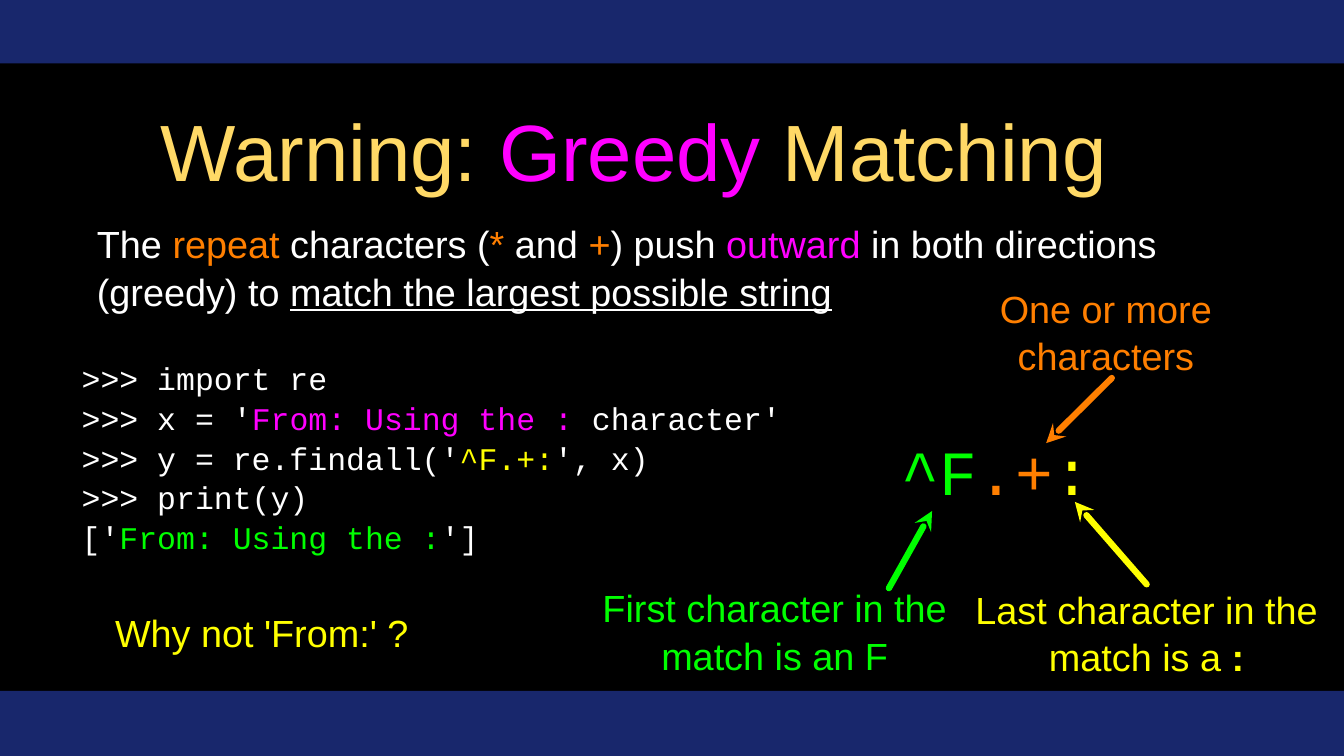
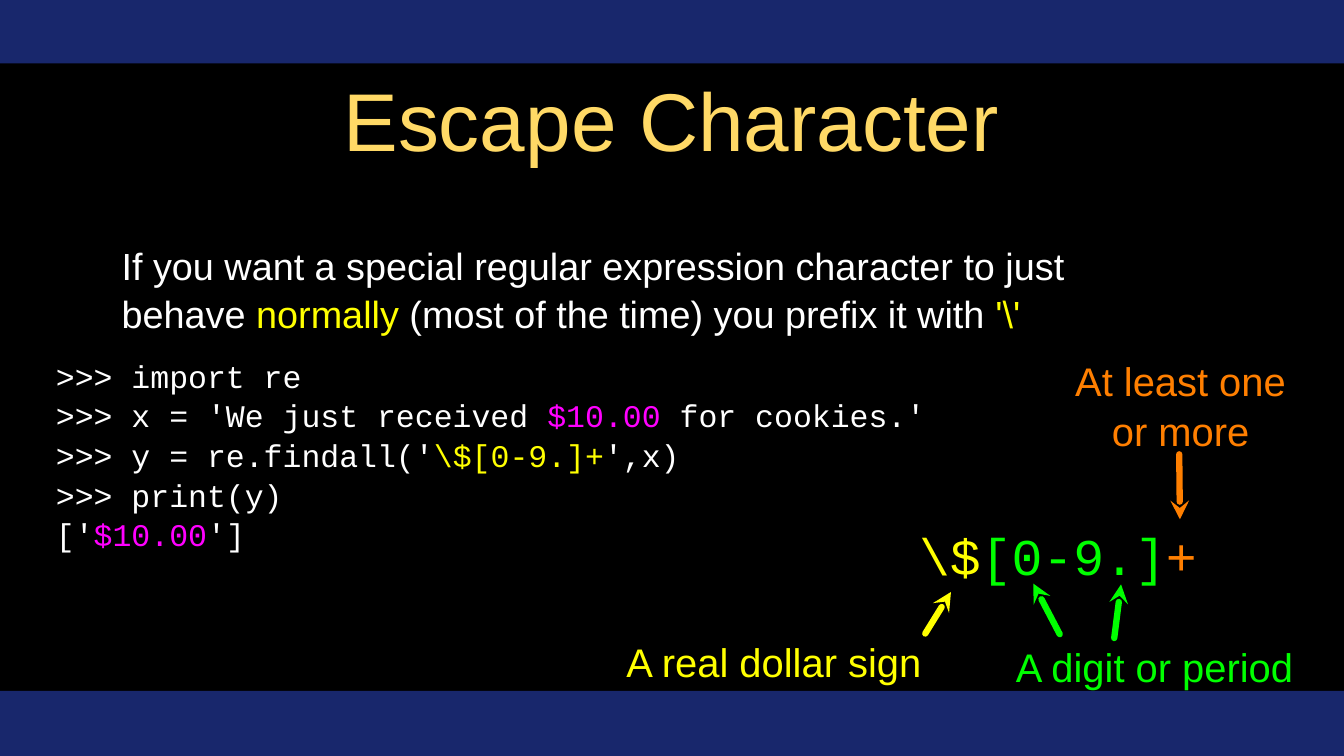
from lxml import etree
from pptx import Presentation
from pptx.dml.color import RGBColor
from pptx.enum import shapes, text
from pptx.oxml.ns import qn
from pptx.util import Pt

COLORS = {
    "background": "000000", "band": "18276C", "title": "FFD966", "white": "FFFFFF",
    "orange": "FF7F00", "magenta": "FF00FF", "green": "00FF00", "yellow": "FFFF00",
}
SLIDE_WIDTH, SLIDE_HEIGHT = 1280.16, 720
BANDS = [(0, 60.5), (658, 62)]  # top, height
LINE_SPACING = 1.05

# Text style: font, alignment, vertical anchor
STYLES = {
    "title": ("Arial", text.PP_ALIGN.CENTER, text.MSO_ANCHOR.MIDDLE),
    "body": ("Arial", text.PP_ALIGN.LEFT, text.MSO_ANCHOR.TOP),
    "code": ("Courier New", text.PP_ALIGN.LEFT, text.MSO_ANCHOR.MIDDLE),
    "callout": ("Arial", text.PP_ALIGN.CENTER, text.MSO_ANCHOR.MIDDLE),
}

# Each text: style, size, (left, top, width, height), (left inset, other insets), paragraphs.
# A paragraph is a list of runs: (words, color, optional "bold" or "underline").
# Each arrow: color, tip, tail.
SLIDES = [
    {
        "texts": [
            ("title", 76, (72, 64, 1063.4, 152.6), (3, 3), [
                [("Warning: ", "title"), ("Greedy", "magenta"), (" Matching", "title")]]),
            ("body", 36, (59.8, 205.2, 1097.3, 123), (32.5, 3), [
                [("The ", "white"), ("repeat", "orange"), (" characters (", "white"),
                 ("*", "orange"), (" and ", "white"), ("+", "orange"), (") push ", "white"),
                 ("outward", "magenta"), (" in both directions (greedy) to ", "white"),
                 ("match the largest possible string", "white", "underline")]]),
            ("code", 30, (77.8, 328.3, 789.8, 213), (0, 0), [
                [(">>> import re", "white")],
                [(">>> x = '", "white"), ("From: Using the :", "magenta"),
                 (" character'", "white")],
                [(">>> y = re.findall('", "white"), ("^F.+:", "yellow"), ("', x)", "white")],
                [(">>> print(y)", "white")],
                [("['", "white"), ("From: Using the :", "green"), ("']", "white")]]),
            ("code", 60, (859, 406, 203.8, 80.6), (0, 0), [
                [("^F", "green"), (".+", "orange"), (":", "yellow")]]),
            ("callout", 36, (925.9, 270, 254.9, 90), (0, 0), [
                [("One or more characters", "orange")]]),
            ("callout", 36, (573.8, 555, 328.3, 90), (0, 0), [
                [("First character in the match is an F", "green")]]),
            ("callout", 36, (928, 556.5, 328.3, 90), (0, 0), [
                [("Last character in the match is a ", "yellow"), (":", "yellow", "bold")]]),
            ("callout", 36, (90.7, 579.6, 317.5, 43.2), (0, 0), [
                [("Why not 'From:' ?", "yellow")]]),
        ],
        "arrows": [
            ("orange", (996.5, 422), (1059, 360)),
            ("green", (887.8, 486.7), (846.7, 560.2)),
            ("yellow", (1023.8, 478), (1092.2, 556.5)),
        ],
    },
    {
        "texts": [
            ("title", 78, (90.7, 51, 1097.3, 119.5), (4.3, 4.3), [
                [("Escape Character", "title")]]),
            ("body", 36, (72, 224.6, 1063.4, 383), (43.9, 4.3), [
                [("If you want a special regular expression character to just behave ", "white"),
                 ("normally", "yellow"),
                 (" (most of the time) you prefix it with ", "white"), ("'\\'", "yellow")]]),
            ("code", 30, (53.3, 337.7, 852.5, 189.4), (0, 0), [
                [(">>> import re", "white")],
                [(">>> x = 'We just received ", "white"), ("$10.00", "magenta"),
                 (" for cookies.'", "white")],
                [(">>> y = re.findall('", "white"), ("\\$[0-9.]+", "yellow"),
                 ("',x)", "white")],
                [(">>> print(y)", "white")],
                [("['", "white"), ("$10.00", "magenta"), ("']", "white")]]),
            ("code", 49, (875.5, 494.6, 265.7, 64), (0, 0), [
                [("\\$", "yellow"), ("[0-9.]", "green"), ("+", "orange")]]),
            ("callout", 38, (949, 607.7, 301.7, 51.8), (0, 0), [
                [("A digit or period", "green")]]),
            ("callout", 38, (578.9, 602.6, 316.8, 51.8), (0, 0), [
                [("A real dollar sign", "yellow")]]),
            ("callout", 38, (1013, 337, 223.2, 95.8), (0, 0), [
                [("At least one or more", "orange")]]),
        ],
        "arrows": [
            ("yellow", (905.8, 563.8), (881.3, 603.4)),
            ("green", (984.2, 555.8), (1009.4, 604)),
            ("green", (1067.8, 556.6), (1061.3, 607.7)),
            ("orange", (1123.9, 494.6), (1123.2, 432.7)),
        ],
    },
]


def rgb(name):
    return RGBColor.from_string(COLORS[name])


def add_bands(slide):
    for top, height in BANDS:
        band = slide.shapes.add_shape(
            shapes.MSO_SHAPE.RECTANGLE, 0, Pt(top), Pt(SLIDE_WIDTH), Pt(height))
        band.shadow.inherit = False
        band.fill.solid()
        band.fill.fore_color.rgb = rgb("band")
        band.line.fill.background()


def add_text(slide, style, size, box, insets, paragraphs):
    font_name, alignment, anchor = STYLES[style]
    frame = slide.shapes.add_textbox(*map(Pt, box)).text_frame
    frame.word_wrap = True
    frame.vertical_anchor = anchor
    frame.margin_left = Pt(insets[0])
    frame.margin_right = frame.margin_top = frame.margin_bottom = Pt(insets[1])
    frame.text = "\n".join("" for _ in paragraphs)
    for paragraph, runs in zip(frame.paragraphs, paragraphs):
        paragraph.alignment = alignment
        paragraph.line_spacing = LINE_SPACING
        for words, color, *effects in runs:
            run = paragraph.add_run()
            run.text = words
            run.font.name = font_name
            run.font.size = Pt(size)
            run.font.color.rgb = rgb(color)
            for effect in effects:
                setattr(run.font, effect, True)


def add_arrow(slide, color, tip, tail):
    arrow = slide.shapes.add_connector(
        shapes.MSO_CONNECTOR.STRAIGHT, *map(Pt, (*tip, *tail)))
    arrow.line.color.rgb = rgb(color)
    arrow.line.width = Pt(6)
    properties = arrow._element.spPr
    outline = properties.find(qn("a:ln"))
    outline.set("cap", "rnd")
    etree.SubElement(outline, qn("a:round"))
    etree.SubElement(outline, qn("a:headEnd"), type="stealth")
    etree.SubElement(properties, qn("a:effectLst"))


def main():
    presentation = Presentation()
    presentation.slide_width, presentation.slide_height = Pt(SLIDE_WIDTH), Pt(SLIDE_HEIGHT)
    for content in SLIDES:
        slide = presentation.slides.add_slide(presentation.slide_layouts[6])
        slide.background.fill.solid()
        slide.background.fill.fore_color.rgb = rgb("background")
        add_bands(slide)
        for item in content["texts"]:
            add_text(slide, *item)
        for arrow in content["arrows"]:
            add_arrow(slide, *arrow)
    presentation.save("out.pptx")


if __name__ == "__main__":
    main()
